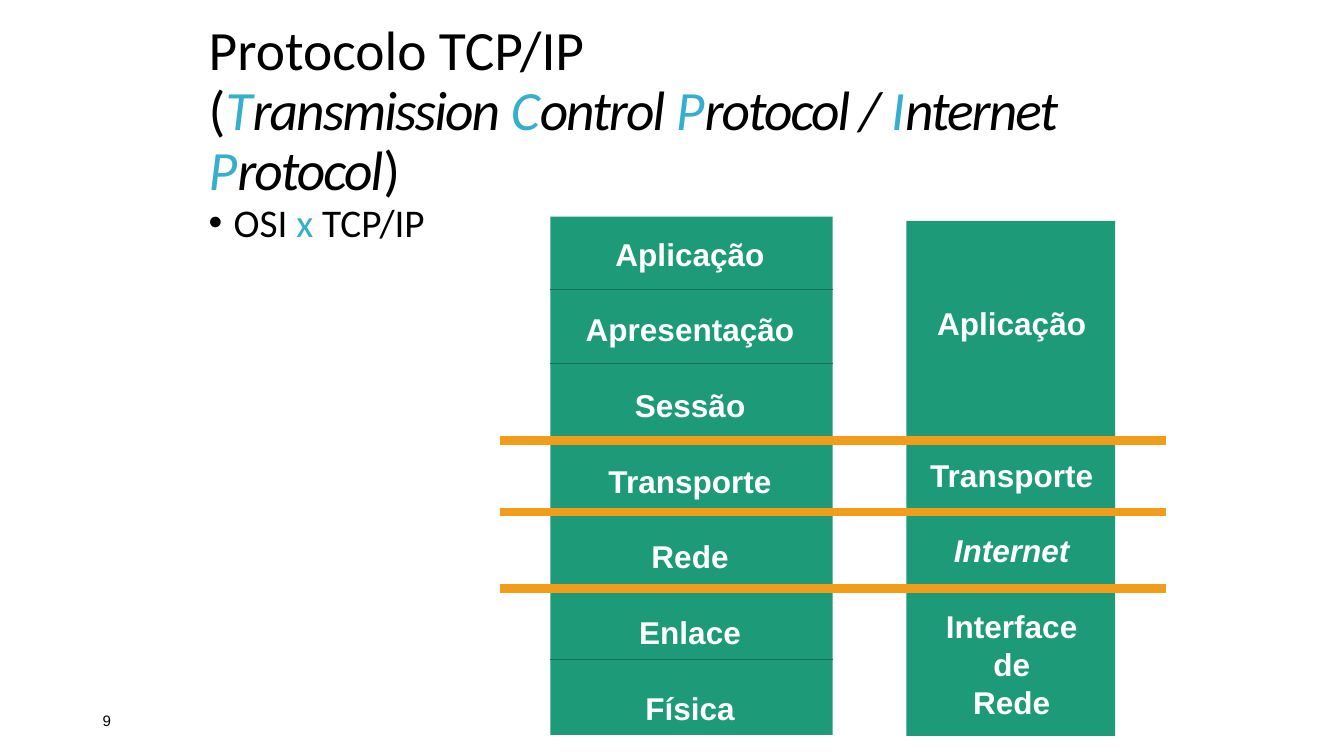
from lxml import etree
from pptx import Presentation
from pptx.dml.color import RGBColor
from pptx.enum.shapes import MSO_CONNECTOR, MSO_SHAPE
from pptx.enum.text import MSO_ANCHOR, MSO_AUTO_SIZE, PP_ALIGN
from pptx.oxml.ns import qn
from pptx.util import Inches, Pt

STRAIGHT = MSO_CONNECTOR.STRAIGHT
RECTANGLE = MSO_SHAPE.RECTANGLE
MIDDLE, TOP = MSO_ANCHOR.MIDDLE, MSO_ANCHOR.TOP
NO_AUTOFIT = MSO_AUTO_SIZE.NONE
LEFT, CENTER = PP_ALIGN.LEFT, PP_ALIGN.CENTER

GREEN, DARK_GREEN, ORANGE = "1D9A78", "157259", "F19D19"
BLACK, WHITE, BLUE = "000000", "FFFFFF", "36AFCE"

TITLE_FIRST_LINE = "Protocolo TCP/IP"
TITLE_RUNS = [
    ("(", BLACK, False),
    ("T", BLUE, True), ("ransmission ", BLACK, True),
    ("C", BLUE, True), ("ontrol ", BLACK, True),
    ("P", BLUE, True), ("rotocol / ", BLACK, True),
    ("I", BLUE, True), ("nternet ", BLACK, True),
    ("P", BLUE, True), ("rotocol", BLACK, True),
    (")", BLACK, False),
]
BULLET_RUNS = [("OSI ", BLACK), ("x ", BLUE), ("TCP/IP", BLACK)]
SLIDE_NUMBER = "9"

LINE_POINTS = 27
STACKS = [
    {
        "bar": (5.46, 2.15, 2.8, 5.14),
        "text": (5.58, 2.28, 2.53, 5.03),
        "separators": [2.87 + 0.735 * step for step in range(6)],
        "layers": [
            ("Aplicação", 0), ("Apresentação", 1), ("Sessão", 1),
            ("Transporte", 1), ("Rede", 1), ("Enlace", 1), ("Física", 1),
        ],
    },
    {
        "bar": (8.99, 2.19, 2.07, 5.11),
        "text": (9.1, 2.97, 1.87, 4.28),
        "separators": [4.35 + 0.73 * step for step in range(3)],
        "layers": [
            ("Aplicação", 0), ("Transporte", 3), ("Internet", 1),
            ("Interface", 1), ("de", 0), ("Rede", 0),
        ],
    },
]
ITALIC_LAYERS = {"Internet"}
BOUNDARIES = [4.37, 5.08, 5.84]
BOUNDARY_LEFT, BOUNDARY_RIGHT = 4.96, 11.56


def color(value):
    return RGBColor.from_string(value)


def add_run(paragraph, text, hex_color, **formats):
    run = paragraph.add_run()
    run.text = text
    run.font.color.rgb = color(hex_color)
    for name, value in formats.items():
        setattr(run.font, name, value)
    return run


def add_text_box(shapes, box, anchor=TOP):
    shape = shapes.add_textbox(*map(Inches, box))
    shape.text_frame.word_wrap = True
    shape.text_frame.vertical_anchor = anchor
    return shape.text_frame


def add_line(shapes, left, right, top, hex_color, points):
    line = shapes.add_connector(
        STRAIGHT, Inches(left), Inches(top), Inches(right), Inches(top))
    line.line.color.rgb = color(hex_color)
    line.line.width = Pt(points)
    etree.SubElement(line._element.spPr, qn("a:effectLst"))


def add_title(slide):
    title = slide.shapes.title
    title.left, title.top, title.width, title.height = map(
        Inches, (1.97, 0.21, 9.44, 1.81))
    frame = title.text_frame
    frame.word_wrap = True
    frame.auto_size = NO_AUTOFIT
    frame.vertical_anchor = MIDDLE
    paragraph = frame.paragraphs[0]
    paragraph.alignment = LEFT
    paragraph.line_spacing = 0.9
    formats = {"size": Pt(39.6), "name": "Calibri"}
    add_run(paragraph, TITLE_FIRST_LINE, BLACK, **formats)
    paragraph.add_line_break()
    for text, hex_color, italic in TITLE_RUNS:
        run = add_run(paragraph, text, hex_color, italic=italic, **formats)
        run._r.get_or_add_rPr().set("spc", "-140")


def add_bullet(slide):
    frame = add_text_box(slide.shapes, (1.97, 2.01, 3.4, 0.6))
    paragraph = frame.paragraphs[0]
    paragraph.line_spacing = 0.8
    properties = paragraph._p.get_or_add_pPr()
    properties.set("marL", str(Inches(0.25)))
    properties.set("indent", str(Inches(-0.25)))
    etree.SubElement(properties, qn("a:buFont")).set("typeface", "Arial")
    etree.SubElement(properties, qn("a:buChar")).set("char", "•")
    for text, hex_color in BULLET_RUNS:
        add_run(paragraph, text, hex_color, size=Pt(28), name="Calibri")


def add_stack(slide, stack):
    shapes = slide.shapes.add_group_shape().shapes
    bar = shapes.add_shape(RECTANGLE, *map(Inches, stack["bar"]))
    bar.shadow.inherit = False
    bar.fill.solid()
    bar.fill.fore_color.rgb = color(GREEN)
    bar.line.fill.background()
    left, width = stack["bar"][0], stack["bar"][2]
    for top in stack["separators"]:
        add_line(shapes, left, left + width, top, DARK_GREEN, 1)
    frame = add_text_box(shapes, stack["text"])
    for index, (label, gap_lines) in enumerate(stack["layers"]):
        paragraph = frame.add_paragraph() if index else frame.paragraphs[0]
        paragraph.alignment = CENTER
        paragraph.line_spacing = Pt(LINE_POINTS)
        if gap_lines:
            paragraph.space_before = Pt(LINE_POINTS * gap_lines)
        add_run(paragraph, label, WHITE, size=Pt(22.5), name="Arial",
                bold=True, italic=label in ITALIC_LAYERS)


def main():
    presentation = Presentation()
    presentation.slide_width = Inches(13.33)
    presentation.slide_height = Inches(7.5)
    slide = presentation.slides.add_slide(presentation.slide_layouts[5])
    add_title(slide)
    add_bullet(slide)
    for stack in STACKS:
        add_stack(slide, stack)
    for top in BOUNDARIES:
        add_line(slide.shapes, BOUNDARY_LEFT, BOUNDARY_RIGHT, top, ORANGE, 6)
    number = add_text_box(slide.shapes, (0.92, 6.95, 3, 0.4), MIDDLE)
    add_run(number.paragraphs[0], SLIDE_NUMBER, BLACK,
            size=Pt(10.8), name="Arial")
    presentation.save("out.pptx")


if __name__ == "__main__":
    main()
